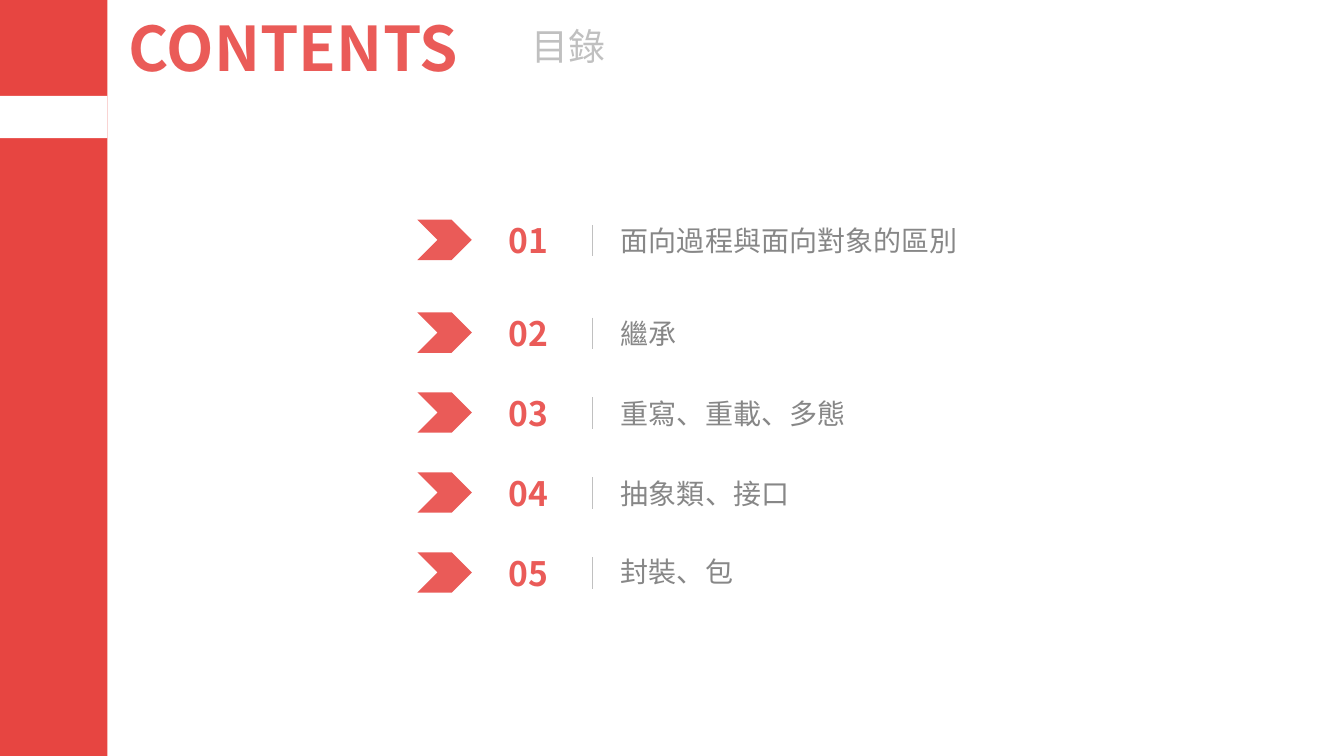
from lxml import etree
from pptx import Presentation
from pptx.dml.color import RGBColor
from pptx.enum.shapes import MSO_CONNECTOR as Line, MSO_SHAPE as Shape
from pptx.enum.text import MSO_ANCHOR as Anchor, PP_ALIGN as Align
from pptx.oxml.ns import qn
from pptx.util import Inches, Pt

WIDTH, HEIGHT = 13.33, 7.5
BAND_RED, RED, GREY, PALE, WHITE = "E74541", "EA5B58", "878787", "C0C0C0", "FFFFFF"
SANS, BODY = "Noto Sans CJK SC", "Calibri"

# Columns and rows of the contents list
CHEVRON_X, NUMBER_X, RULE_X, TOPIC_X = 4.14, 4.68, 5.88, 6.06
FIRST_TOP, SECOND_TOP, ROW = 1.99, 2.91, 0.793
TOPICS = ["面向過程與面向對象的區別", "繼承", "重寫、重載、多態", "抽象類、接口", "封裝、包"]


def color(value):
    return RGBColor.from_string(value)


def add_block(page, kind, left, top, width, height, fill):
    block = page.shapes.add_shape(
        kind, Inches(left), Inches(top), Inches(width), Inches(height))
    block.shadow.inherit = False
    block.fill.solid()
    block.fill.fore_color.rgb = color(fill)
    block.line.fill.background()


def add_text(page, text, left, top, width, height, size, ink,
             font=SANS, bold=False, align=Align.LEFT, spacing=None):
    box = page.shapes.add_textbox(
        Inches(left), Inches(top), Inches(width), Inches(height))
    frame = box.text_frame
    frame.word_wrap = True
    frame.vertical_anchor = Anchor.MIDDLE
    frame.text = text
    para = frame.paragraphs[0]
    para.alignment = align
    if spacing:
        para.line_spacing = spacing
    span = para.runs[0]
    span.font.name = font
    span.font.size = Pt(size)
    span.font.bold = bold
    span.font.color.rgb = color(ink)
    # Chinese characters take the East Asian typeface
    east_asian = etree.SubElement(span.font._element, qn("a:ea"))
    east_asian.set("typeface", SANS)


def add_rule(page, x, top, bottom):
    rule = page.shapes.add_connector(
        Line.STRAIGHT, Inches(x), Inches(top), Inches(x), Inches(bottom))
    rule.line.color.rgb = color(PALE)
    rule.line.width = Pt(0.5)
    etree.SubElement(rule._element.spPr, qn("a:effectLst"))


def add_topic(page, number, topic, top, spacing):
    add_block(page, Shape.CHEVRON, CHEVRON_X, top + 0.19, 0.54, 0.4, RED)
    add_text(page, f"{number:02}", NUMBER_X, top, 1.12, ROW, 24, RED,
             bold=True, align=Align.CENTER)
    add_rule(page, RULE_X, top + 0.24, top + 0.55)
    add_text(page, topic, TOPIC_X, top, 5.85, ROW, 20, GREY,
             font=BODY, spacing=spacing)


def main():
    deck = Presentation()
    deck.slide_width, deck.slide_height = Inches(WIDTH), Inches(HEIGHT)
    page = deck.slides.add_slide(deck.slide_layouts[6])

    # Side band with its white gap
    band = WIDTH * 0.08
    add_block(page, Shape.RECTANGLE, 0, 0, band, HEIGHT, BAND_RED)
    add_block(page, Shape.RECTANGLE, 0, 0.95, band, 0.42, WHITE)

    # Heading
    add_text(page, "CONTENTS", 1.18, 0.05, 4.88, 0.84, 44, RED, bold=True)
    add_text(page, "目錄", 4.86, 0.17, 1.55, 0.57, 26.4, PALE, align=Align.CENTER)

    # Contents list: the first topic stands a little apart, the last is set tighter
    for index, topic in enumerate(TOPICS):
        top = SECOND_TOP + (index - 1) * ROW if index else FIRST_TOP
        spacing = 0.9 if index == len(TOPICS) - 1 else None
        add_topic(page, index + 1, topic, top, spacing)

    deck.save("out.pptx")


if __name__ == "__main__":
    main()
